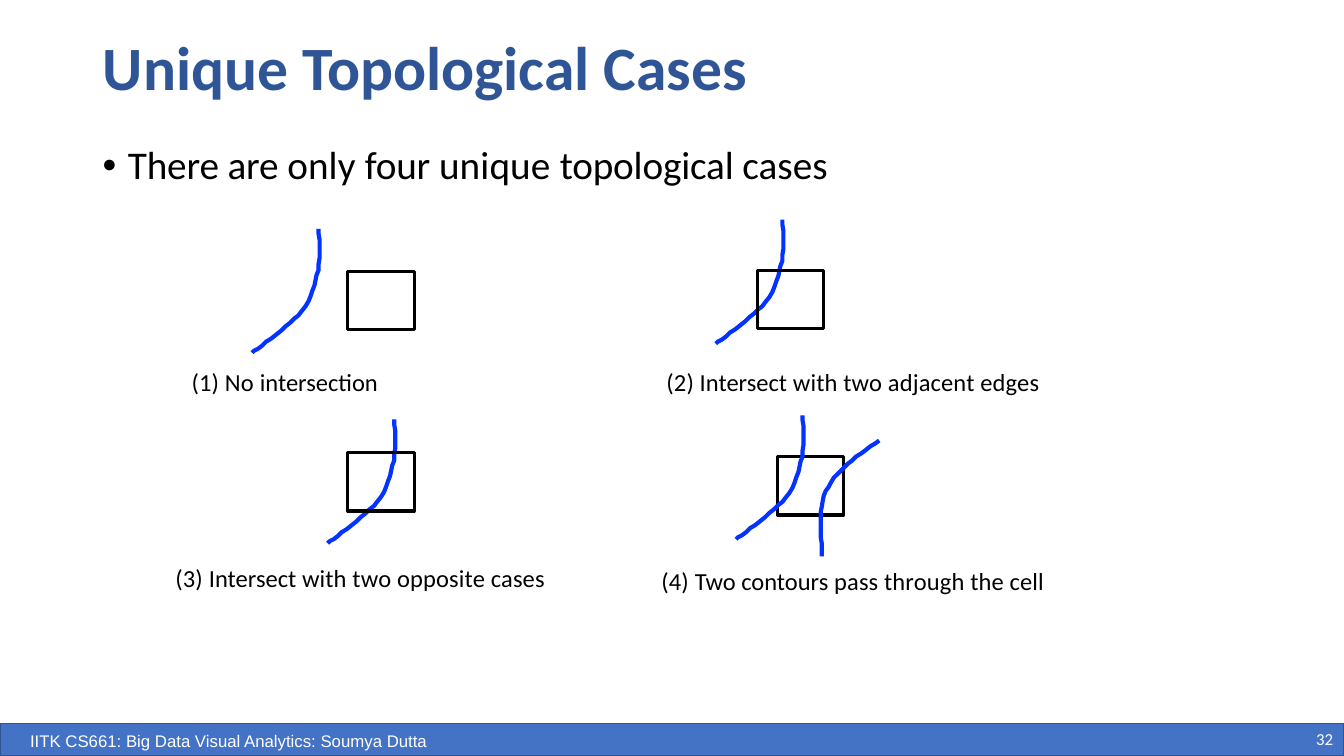
from lxml import etree
from pptx import Presentation
from pptx.dml.color import RGBColor
from pptx.enum.shapes import MSO_SHAPE
from pptx.enum.text import MSO_ANCHOR, PP_ALIGN
from pptx.oxml.ns import qn
from pptx.util import Pt

RECT = MSO_SHAPE.RECTANGLE
TOP, MIDDLE = MSO_ANCHOR.TOP, MSO_ANCHOR.MIDDLE
LEFT, CENTER, RIGHT = PP_ALIGN.LEFT, PP_ALIGN.CENTER, PP_ALIGN.RIGHT
PX = 9144
COLORS = {"title": "2F5597", "bar": "4472C4", "edge": "325491",
          "text": "000000", "light": "FFFFFF", "curve": "0433FF"}

FALL = [(66, 0), (66, 5), (67, 11), (67, 17), (67, 23), (67, 29), (66, 35),
        (66, 41), (64, 46), (63, 51), (62, 56), (60, 61), (58, 67), (56, 72),
        (53, 77), (49, 82), (46, 86), (42, 89), (38, 93), (33, 97), (29, 101),
        (24, 105), (19, 109), (14, 112), (10, 116), (6, 119), (2, 121), (0, 123)]
RISE = [(142, 25), (138, 28), (133, 31), (128, 35), (124, 38), (119, 41),
        (115, 45), (111, 48), (108, 51), (104, 55), (101, 58), (97, 62),
        (94, 67), (92, 71), (89, 75), (87, 80), (86, 85), (85, 91), (84, 96),
        (84, 102), (84, 108), (84, 114), (84, 121), (85, 127), (85, 132),
        (85, 137), (85, 140)]

CASES = [
    ((345, 269), (250, 227), [FALL], False, (189, 362, 190, 33),
     [("(1) No ", 10), ("intersection", 0)]),
    ((751, 268), (710, 218), [FALL], True, (660, 362, 375, 33),
     [("(2)", 10), (" Intersect ", 0), ("with two adjacent edges", 10)]),
    ((345, 449), (325, 416), [FALL], True, (173, 557, 371, 33),
     [("(3) ", 10), ("Intersect ", 0), ("with two opposite cases", 10)]),
    ((771, 453), (730, 412), [FALL, RISE], False, (655, 560, 385, 33),
     [("(4) ", 10), ("Two", -10), (" contours ", 0),
      ("pass through the cell", 10)]),
]


def rgb(name):
    return RGBColor.from_string(COLORS[name])


def scale(box):
    return [n * PX for n in box]


def write(para, runs, size, color="text", face="Calibri", bold=False):
    for words, gap in runs:
        run = para.add_run()
        run.text = words
        font = run.font
        font.size, font.name, font.bold = Pt(size), face, bold
        font.color.rgb = rgb(color)
        if gap:
            run._r.get_or_add_rPr().set("spc", str(gap))


def label(slide, box, runs, size, align=LEFT, anchor=TOP, pad=(10, 5, 10, 5), **look):
    frame = slide.shapes.add_textbox(*scale(box)).text_frame
    frame.word_wrap = True
    frame.vertical_anchor = anchor
    (frame.margin_left, frame.margin_top,
     frame.margin_right, frame.margin_bottom) = scale(pad)
    para = frame.paragraphs[0]
    para.alignment = align
    write(para, runs, size, **look)
    return para


def stroke(shape, color, width):
    shape.shadow.inherit = False
    shape.line.color.rgb = rgb(color)
    shape.line.width = Pt(width)


def footer(slide, box):
    left, top, width, height = box
    bar = slide.shapes.add_shape(RECT, *scale(box))
    bar.fill.solid()
    bar.fill.fore_color.rgb = rgb("bar")
    stroke(bar, "edge", 1)
    label(slide, (left + width - 91, top - 1, 90, height), [("32", 0)], 12,
          RIGHT, MIDDLE, color="light")
    label(slide, (left, top + 2, 454, 30),
          [("IITK CS661: Big Data Visual Analytics: Soumya Dutta", 0)], 12,
          CENTER, color="light", face="Arial")


def heading(slide, box):
    title = slide.shapes.title
    title.left, title.top, title.width, title.height = scale(box)
    frame = title.text_frame
    frame.vertical_anchor = MIDDLE
    para = frame.paragraphs[0]
    para.alignment, para.line_spacing = LEFT, 0.9
    write(para, [("Unique Topological Cases", 0)], 44, "title", bold=True)


def body(slide, box):
    runs = [("There are ", -10), ("only ", 10), ("four ", -10),
            ("unique ", 10), ("topological ", -10), ("cases", 0)]
    para = label(slide, box, runs, 28)
    para.line_spacing = 0.9
    props = para._p.get_or_add_pPr()
    props.set("marL", str(25 * PX))
    props.set("indent", str(-25 * PX))
    etree.SubElement(props, qn("a:buFont")).set("typeface", "Arial")
    etree.SubElement(props, qn("a:buChar")).set("char", "•")


def cell(slide, spot):
    square = slide.shapes.add_shape(RECT, *scale((*spot, 66, 58)))
    square.fill.background()
    stroke(square, "text", 2.23)


def contour(slide, spot, paths):
    pen = slide.shapes.build_freeform(*paths[0][0], scale=PX)
    pen.add_line_segments(paths[0][1:], close=False)
    for path in paths[1:]:
        pen.move_to(*path[0])
        pen.add_line_segments(path[1:], close=False)
    curve = pen.convert_to_shape(*scale(spot))
    curve.fill.background()
    stroke(curve, "curve", 2.97)


def case(slide, square, start, paths, front, box, runs):
    if not front:
        cell(slide, square)
    contour(slide, start, paths)
    if front:
        cell(slide, square)
    label(slide, box, runs, 17.5, pad=(1, 2, 0, 0))


def main():
    deck = Presentation()
    deck.slide_width, deck.slide_height = scale((1333, 750))
    slide = deck.slides.add_slide(deck.slide_layouts[5])
    footer(slide, (0, 718, 1333, 32))
    heading(slide, (92, 24, 1150, 91))
    body(slide, (92, 140, 845, 66))
    for item in CASES:
        case(slide, *item)
    deck.save("out.pptx")


if __name__ == "__main__":
    main()
